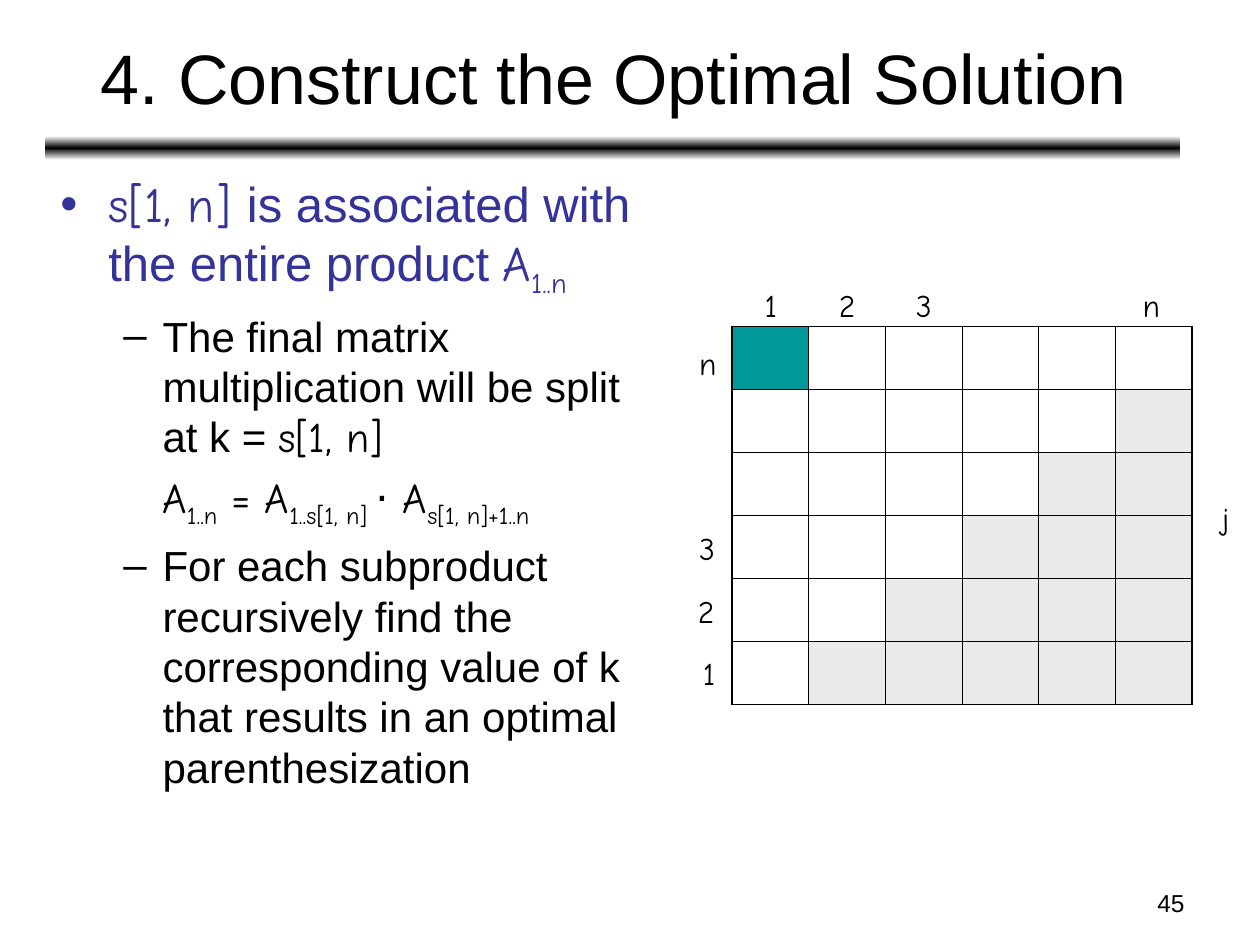
"""Build the slide on constructing the optimal matrix-chain solution."""
from copy import deepcopy

from lxml.etree import SubElement
from pptx import Presentation
from pptx.dml.color import RGBColor
from pptx.enum.shapes import MSO_SHAPE as Shape
from pptx.enum.text import MSO_ANCHOR as Anchor, MSO_AUTO_SIZE as AutoSize, PP_ALIGN as Align
from pptx.oxml.ns import qn
from pptx.util import Inches, Pt

BLACK = RGBColor(0x00, 0x00, 0x00)
WHITE = RGBColor(0xFF, 0xFF, 0xFF)
NAVY = RGBColor(0x33, 0x33, 0x99)
TEAL = RGBColor(0x00, 0x99, 0x99)
GRAY = RGBColor(0xEA, 0xEA, 0xEA)
SANS, HAND = "Arial", "Comic Neue"
SIZE = 6


def style(span, size, font, color):
    span.font.size = Pt(size)
    span.font.name = font
    span.font.color.rgb = color


def add_label(text, left, top, width, height, size, font, align=Align.LEFT):
    box = slide.shapes.add_textbox(Inches(left), Inches(top), Inches(width), Inches(height))
    box.text_frame.word_wrap = align == Align.RIGHT
    para = box.text_frame.paragraphs[0]
    para.text = text
    para.alignment = align
    style(para.runs[0], size, font, BLACK)


deck = Presentation()
deck.slide_width, deck.slide_height = Inches(10), Inches(7.5)
slide = deck.slides.add_slide(deck.slide_layouts[1])

bar = slide.shapes.add_shape(
    Shape.ROUNDED_RECTANGLE, Inches(0.36), Inches(1.08), Inches(9.01), Inches(0.19))
bar.shadow.inherit = False
bar.line.fill.background()
bar.fill.gradient()
bar.fill.gradient_angle = 90
first, last = bar.fill.gradient_stops
first.color.rgb, first.position = BLACK, 0.5
last.color.rgb, last.position = WHITE, 1
stops = bar.fill._fill._gradFill.find(qn("a:gsLst"))
stops.insert(0, deepcopy(stops[1]))
stops[0].set("pos", "0")

title = slide.shapes.title
title.left, title.top, title.width, title.height = map(Inches, (0.37, 0.11, 9, 0.99))
title.text_frame.text = "4. Construct the Optimal Solution"
title.text_frame.vertical_anchor = Anchor.MIDDLE
title.text_frame.auto_size = AutoSize.NONE
title.text_frame.paragraphs[0].alignment = Align.CENTER
style(title.text_frame.paragraphs[0].runs[0], 40, SANS, BLACK)

points = [
    (0, "•", 28, NAVY, 0.38, -0.38, 7, [
        ("s[1, n] ", HAND, False), ("is associated with the entire product ", SANS, False),
        ("A", HAND, False), ("1..n", HAND, True)]),
    (1, "–", 24, BLACK, 0.81, -0.31, 6, [
        ("The final matrix multiplication will be split at k = ", SANS, False),
        ("s[1, n]", HAND, False)]),
    (1, None, 24, BLACK, 0.81, 0, 6, [
        ("A", HAND, False), ("1..n", HAND, True), (" = A", HAND, False),
        ("1..s[1, n] ", HAND, True), ("⋅", SANS, False), (" A", HAND, False),
        ("s[1, n]+1..n", HAND, True)]),
    (1, "–", 24, BLACK, 0.81, -0.31, 6, [
        ("For each subproduct recursively find the corresponding value of k "
         "that results in an optimal parenthesization", SANS, False)]),
]
body = slide.placeholders[1]
body.left, body.top, body.width, body.height = map(Inches, (0.38, 1.33, 4.9, 5.55))
body.text_frame.auto_size = AutoSize.NONE
for index, (level, bullet, size, color, margin, indent, before, spans) in enumerate(points):
    para = body.text_frame.add_paragraph() if index else body.text_frame.paragraphs[0]
    para.level = level
    para.space_before = Pt(before)
    props = para._p.get_or_add_pPr()
    props.set("marL", str(Inches(margin)))
    props.set("indent", str(Inches(indent)))
    if bullet:
        SubElement(SubElement(props, qn("a:buClr")), qn("a:srgbClr"), val=str(color))
        SubElement(props, qn("a:buFont"), typeface=SANS)
        SubElement(props, qn("a:buChar"), char=bullet)
    else:
        SubElement(props, qn("a:buNone"))
    for text, font, subscript in spans:
        span = para.add_run()
        span.text = text
        style(span, size, font, color)
        if subscript:
            span.font._element.set("baseline", "-25000")

grid = slide.shapes.add_table(
    SIZE, SIZE, Inches(5.81), Inches(2.59), Inches(3.65), Inches(3)).table
grid.first_row = grid.horz_banding = False
for row in range(SIZE):
    for col in range(SIZE):
        cell = grid.cell(row, col)
        props = cell._tc.get_or_add_tcPr()
        edges = {"L": col == 0, "R": col == SIZE - 1, "T": row == 0, "B": row == SIZE - 1}
        for side, outer in edges.items():
            line = SubElement(props, qn(f"a:ln{side}"), w=str(Pt(1.08 if outer else 0.45)))
            SubElement(SubElement(line, qn("a:solidFill")), qn("a:srgbClr"), val=str(BLACK))
        if row + col >= SIZE:
            cell.fill.solid()
            cell.fill.fore_color.rgb = GRAY
        elif row == col == 0:
            cell.fill.solid()
            cell.fill.fore_color.rgb = TEAL
        else:
            cell.fill.background()

labels = [
    ("1", 5.97, 2.22, 0.3), ("2", 6.56, 2.22, 0.33), ("3", 7.17, 2.22, 0.32),
    ("n", 8.97, 2.22, 0.34), ("n", 5.45, 2.68, 0.34), ("3", 5.45, 4.15, 0.32),
    ("2", 5.44, 4.65, 0.33), ("1", 5.48, 5.14, 0.3), ("j", 9.6, 3.91, 0.26),
]
for text, left, top, width in labels:
    add_label(text, left, top, width, 0.4, 18, HAND)
add_label("45", 7.17, 7, 2.33, 0.35, 14, SANS, Align.RIGHT)

deck.save("out.pptx")
